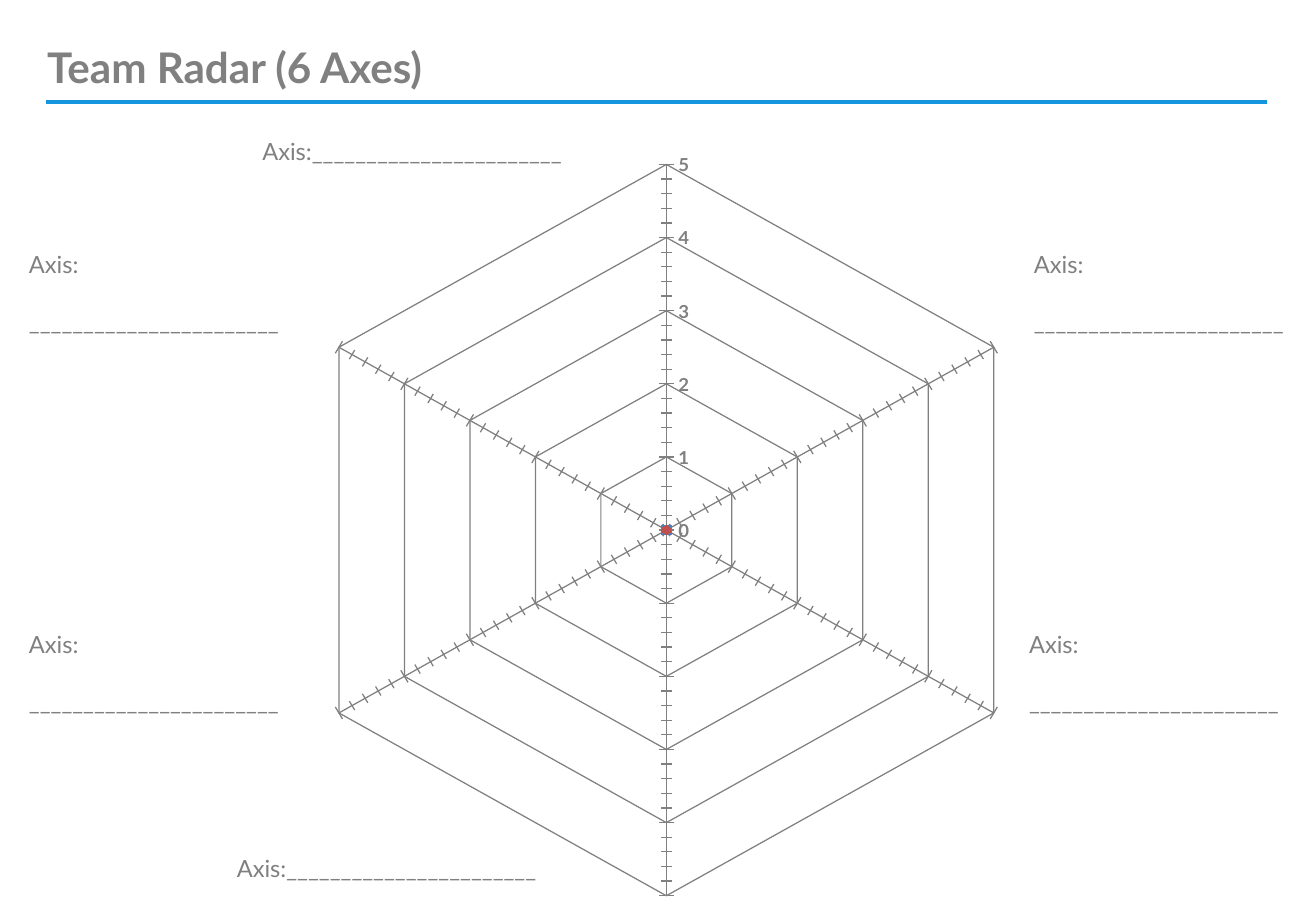
import pptx
import pptx.chart.data
import pptx.dml.color
import pptx.enum.chart
import pptx.enum.shapes
import pptx.enum.text
import pptx.oxml
import pptx.util
from pptx.util import Inches

# Content
TITLE = "Team Radar (6 Axes)"
LABEL, BLANK = "Axis:", "_" * 23
CATEGORIES = [" ", " ", " ", " ", "", " "]
SCORES = [0, 0, 0, 0, None, 0]
ONE_LINE_LABELS = [(2.06, 1.08, None), (1.85, 6.98, "white")]
TWO_LINE_LABELS = [(8.41, 2.01), (0.14, 5.14), (0.14, 2.01), (8.37, 5.14)]
PLOT_LAYOUT = {"x": 0.164, "y": 0.062, "w": 0.637, "h": 0.83}

THEME = {
    "font": "Lato", "chart_font": "Calibri",
    "gray": "808080", "rule": "1396DE", "white": "FFFFFF", "black": "000000",
    "title_size": 25, "label_size": 14, "scale_size": 11, "chart_size": 18,
}
MARKER = pptx.enum.chart.XL_MARKER_STYLE
SERIES = [("Series 1", "4F81BD", MARKER.SQUARE, 6),
          ("Series 2", "C0504D", MARKER.CIRCLE, 5)]


def color(name):
    return pptx.dml.color.RGBColor.from_string(THEME.get(name, name))


def style_font(font, size, tint="gray", bold=False, face="font"):
    font.name = THEME[face]
    font.size = pptx.util.Pt(THEME[size])
    font.bold = bold
    font.color.rgb = color(tint)


def style_line(line, tint="gray", width=0.75):
    line.color.rgb = color(tint)
    line.width = pptx.util.Pt(width)


def add_text(slide, box, lines, size, bold=False, wrap=False, fill=None):
    shape = slide.shapes.add_textbox(*map(Inches, box))
    if fill:
        shape.fill.solid()
        shape.fill.fore_color.rgb = color(fill)
    frame = shape.text_frame
    frame.word_wrap = wrap
    frame.text = "\n".join(lines)
    for paragraph in frame.paragraphs:
        for run in paragraph.runs:
            style_font(run.font, size, bold=bold)
    return frame


def add_radar(slide):
    data = pptx.chart.data.CategoryChartData(number_format="General")
    data.categories = CATEGORIES
    for name, *_ in SERIES:
        data.add_series(name, SCORES)
    chart = slide.shapes.add_chart(
        pptx.enum.chart.XL_CHART_TYPE.RADAR_MARKERS,
        *map(Inches, (0.77, 0.66, 9.77, 7.5)), data).chart
    chart.has_legend = False
    chart.has_title = False
    style_font(chart.font, "chart_size", "black", face="chart_font")

    # Series
    for series, (_, tint, marker, size) in zip(chart.plots[0].series, SERIES):
        series.smooth = False
        style_line(series.format.line, tint, 2)
        series.marker.style = marker
        series.marker.size = size
        series.marker.format.fill.solid()
        series.marker.format.fill.fore_color.rgb = color(tint)
        style_line(series.marker.format.line, tint)

    # Axes
    tick = pptx.enum.chart.XL_TICK_MARK
    scale, spokes = chart.value_axis, chart.category_axis
    for axis in (scale, spokes):
        axis.has_major_gridlines = True
        style_line(axis.major_gridlines.format.line)
        style_line(axis.format.line)
    spokes.major_tick_mark = tick.OUTSIDE
    scale.minimum_scale, scale.maximum_scale = 0, 5
    scale.major_unit, scale.minor_unit = 1, 0.2
    scale.major_tick_mark = scale.minor_tick_mark = tick.CROSS
    scale.tick_labels.number_format = "General"
    scale.tick_labels.number_format_is_linked = False
    style_font(scale.tick_labels.font, "scale_size", bold=True)

    # Fixed place of the plot inside the chart
    plot_area = chart.plots[0]._element.getparent()
    for layout in plot_area.xpath("c:layout"):
        plot_area.remove(layout)
    parts = [("layoutTarget", "inner"), ("xMode", "edge"), ("yMode", "edge")]
    parts += PLOT_LAYOUT.items()
    settings = "".join(f'<c:{tag} val="{value}"/>' for tag, value in parts)
    plot_area.insert(0, pptx.oxml.parse_xml(
        '<c:layout xmlns:c="http://schemas.openxmlformats.org/drawingml/2006/chart">'
        f"<c:manualLayout>{settings}</c:manualLayout></c:layout>"))


def main():
    presentation = pptx.Presentation()
    presentation.slide_width = Inches(10.83)
    presentation.slide_height = Inches(7.5)
    slide = presentation.slides.add_slide(presentation.slide_layouts[6])

    # Rule under the title
    rule = slide.shapes.add_connector(
        pptx.enum.shapes.MSO_CONNECTOR.STRAIGHT,
        *map(Inches, (0.38, 0.84, 10.43, 0.84)))
    style_line(rule.line, "rule", 2)
    rule._element.spPr.append(pptx.oxml.parse_xml(
        '<a:effectLst xmlns:a="http://schemas.openxmlformats.org/drawingml/2006/main"/>'))

    add_radar(slide)

    # Title
    title = add_text(slide, (0.29, 0.08, 7.69, 0.97), [TITLE], "title_size",
                     bold=True, wrap=True)
    title.vertical_anchor = pptx.enum.text.MSO_ANCHOR.MIDDLE
    title.paragraphs[0].line_spacing = pptx.util.Pt(27.3)

    # Axis labels
    for left, top, fill in ONE_LINE_LABELS:
        add_text(slide, (left, top, 2.88, 0.34), [LABEL + BLANK], "label_size",
                 fill=fill)
    for left, top in TWO_LINE_LABELS:
        frame = add_text(slide, (left, top, 2.47, 0.81), [LABEL, BLANK], "label_size")
        frame.paragraphs[1].space_before = pptx.util.Pt(16.8)

    presentation.save("out.pptx")


if __name__ == "__main__":
    main()
